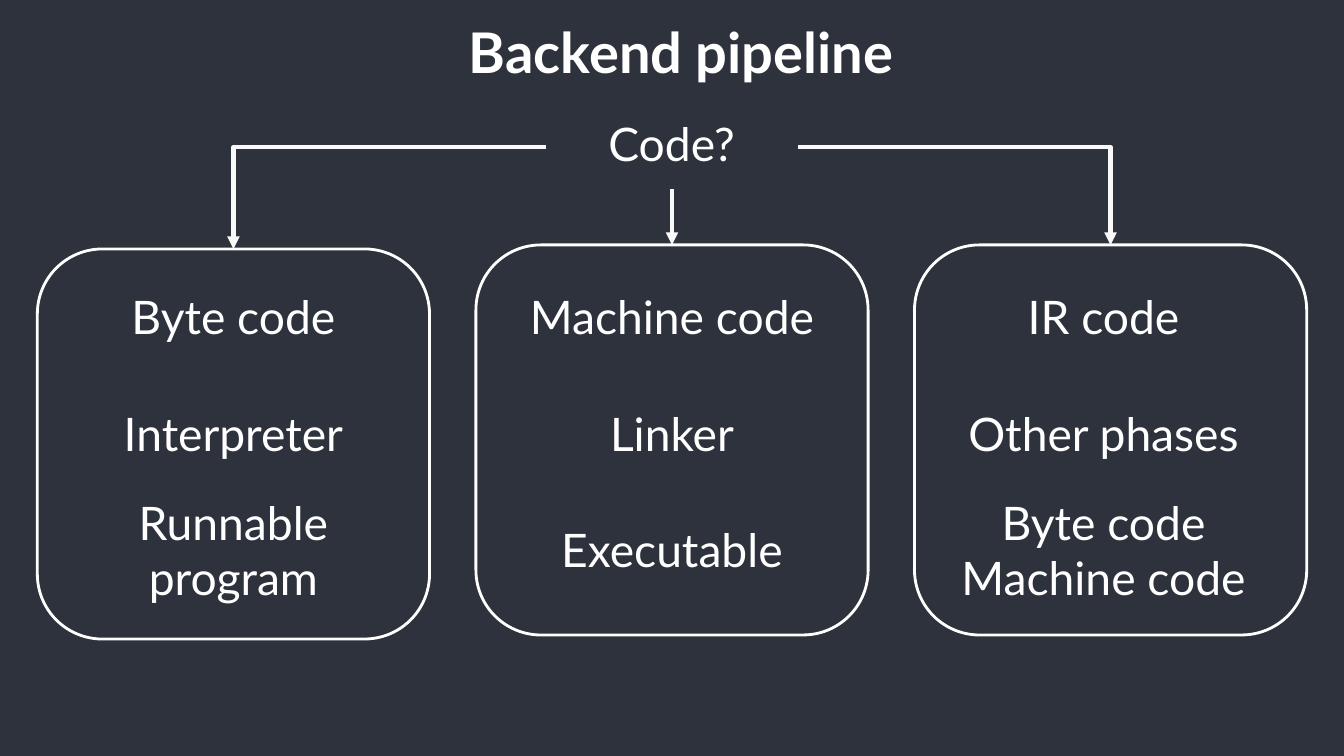
import pptx
import pptx.util
import pptx.dml.color
import pptx.enum.shapes
import pptx.enum.text
import pptx.oxml
import pptx.oxml.ns

Inches, Pt = pptx.util.Inches, pptx.util.Pt
RGBColor = pptx.dml.color.RGBColor
Anchor = pptx.enum.text.MSO_ANCHOR
Connector = pptx.enum.shapes.MSO_CONNECTOR

SLATE = RGBColor(0x2D, 0x32, 0x3C)
WHITE = RGBColor(0xFF, 0xFF, 0xFF)
OFF_WHITE = RGBColor(0xF9, 0xF9, 0xF9)


class PipelinePage:
    font = "Lato"

    def __init__(self, deck):
        self.page = deck.slides.add_slide(deck.slide_layouts[5])
        self.page.background.fill.solid()
        self.page.background.fill.fore_color.rgb = SLATE

    def set_text(self, box, text, size, anchor, bold=False):
        frame = box.text_frame
        frame.text = text
        frame.word_wrap = True
        frame.auto_size = pptx.enum.text.MSO_AUTO_SIZE.NONE
        frame.vertical_anchor = anchor
        frame.margin_left = frame.margin_right = Inches(0.1)
        frame.margin_top = frame.margin_bottom = Inches(0.1)
        para = frame.paragraphs[0]
        para.alignment = pptx.enum.text.PP_ALIGN.CENTER
        for span in para.runs:
            span.font.name = self.font
            span.font.size = Pt(size)
            span.font.bold = bold
            span.font.color.rgb = WHITE

    def title(self, text, left, top, width, height):
        box = self.page.shapes.title
        box.left, box.top = Inches(left), Inches(top)
        box.width, box.height = Inches(width), Inches(height)
        self.set_text(box, text, 40, Anchor.TOP, bold=True)

    def label(self, text, left, top, width, height, anchor=Anchor.MIDDLE):
        box = self.page.shapes.add_textbox(
            Inches(left), Inches(top), Inches(width), Inches(height))
        self.set_text(box, text, 33, anchor)

    def panel(self, left, top, width, height):
        box = self.page.shapes.add_shape(
            pptx.enum.shapes.MSO_SHAPE.ROUNDED_RECTANGLE,
            Inches(left), Inches(top), Inches(width), Inches(height))
        box.shadow.inherit = False
        box.fill.solid()
        box.fill.fore_color.rgb = SLATE
        box.line.color.rgb = WHITE
        box.line.width = Pt(2)

    def arrow(self, start, end, kind):
        arrow = self.page.shapes.add_connector(
            kind, *(Inches(value) for value in start + end))
        arrow.line.color.rgb = OFF_WHITE
        arrow.line.width = Pt(3)
        properties = arrow._element.spPr
        qn = pptx.oxml.ns.qn
        if kind == Connector.ELBOW:
            # One bend: sideways first, then down
            properties.find(qn("a:prstGeom")).set("prst", "bentConnector2")
            if end[0] < start[0]:
                # Half turn plus vertical flip mirrors the bend to the left
                frame = properties.find(qn("a:xfrm"))
                frame.attrib.pop("flipH", None)
                frame.set("rot", "10800000")
                frame.set("flipV", "1")
        namespace = pptx.oxml.ns.nsdecls("a")
        properties.find(qn("a:ln")).append(
            pptx.oxml.parse_xml(f'<a:tailEnd {namespace} type="triangle"/>'))
        properties.append(pptx.oxml.parse_xml(f"<a:effectLst {namespace}/>"))


deck = pptx.Presentation()
deck.slide_width, deck.slide_height = Inches(13.33), Inches(7.5)
pipeline = PipelinePage(deck)

# Heading and question
pipeline.title("Backend pipeline", 1.14, 0.07, 11.23, 0.84)
pipeline.label("Code?", 5.42, 1.04, 2.48, 0.84, Anchor.TOP)

# Branches: panel left, panel top, label left, arrow start, arrow kind, steps
PANEL_WIDTH, PANEL_HEIGHT = 3.89, 3.87
STEP_TOP, STEP_BOTTOM = 2.72, 5.03
STEP_PITCH = (STEP_BOTTOM - STEP_TOP) / 2
MIDDLE_LEFT = 4.72
BRANCHES = [
    (0.37, 2.47, 0.44, (5.42, 1.46), Connector.ELBOW,
     ["Byte code", "Interpreter", "Runnable program"]),
    (MIDDLE_LEFT, 2.43, 4.79, (MIDDLE_LEFT + PANEL_WIDTH / 2, 1.88), Connector.STRAIGHT,
     ["Machine code", "Linker", "Executable"]),
    (9.07, 2.43, 9.07, (7.91, 1.46), Connector.ELBOW,
     ["IR code", "Other phases", "Byte code Machine code"]),
]
for left, top, label_left, start, kind, steps in BRANCHES:
    pipeline.panel(left, top, PANEL_WIDTH, PANEL_HEIGHT)
    for row, step in enumerate(steps):
        pipeline.label(step, label_left, STEP_TOP + row * STEP_PITCH, 3.75, 0.84)
    pipeline.arrow(start, (left + PANEL_WIDTH / 2, top), kind)

deck.save("out.pptx")
